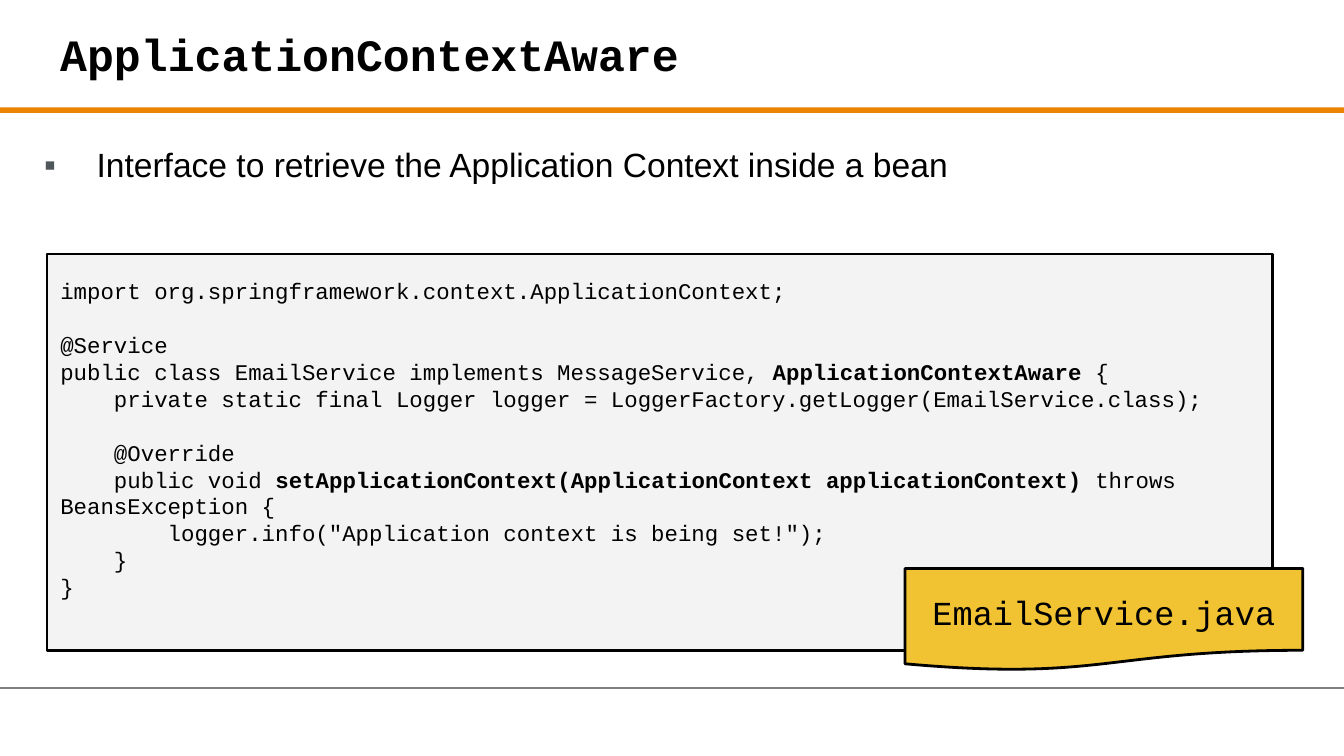
from lxml.etree import SubElement as Sub
from pptx import Presentation
from pptx.dml.color import RGBColor as Rgb
from pptx.enum.shapes import MSO_CONNECTOR as Link, MSO_SHAPE as Form
from pptx.enum.text import MSO_ANCHOR as Anchor, PP_ALIGN as Align
from pptx.oxml.ns import qn
from pptx.util import Inches, Pt

# Grid of square cells, 0.1 inch each
CELL = Inches(0.1)
COLS, ROWS = 100, 56.25
LINE = 14.4  # height of one code line in points

INK = {
    "text": "000000", "rule": "E98300", "foot": "7F7F7F",
    "dot": "4F575A", "code": "F3F3F3", "tag": "F1C232",
}
FONTS = {
    "title": {"name": "Courier New", "size": Pt(24), "bold": True},
    "body": {"name": "Arial", "size": Pt(18)},
    "code": {"name": "Courier New", "size": Pt(12)},
    "tag": {"name": "Courier New", "size": Pt(18)},
}
# Bold parts stand between ** marks
CODE = """import org.springframework.context.ApplicationContext;

@Service
public class EmailService implements MessageService, **ApplicationContextAware** {
    private static final Logger logger = LoggerFactory.getLogger(EmailService.class);

    @Override
    public void **setApplicationContext(ApplicationContext applicationContext)** throws BeansException {
        logger.info("Application context is being set!");
    }
}"""


def cells(*nums):
    return [round(n * CELL) for n in nums]


def style(item, looks):
    for key, val in looks.items():
        setattr(item, key, val)


def write(para, text, kind, bold=None):
    run = para.add_run()
    run.text = text
    style(run.font, FONTS[kind])
    run.font.color.rgb = Rgb.from_string(INK["text"])
    if bold is not None:
        run.font.bold = bold


def frame(shape, anchor=Anchor.MIDDLE, low=1):
    text = shape.text_frame
    style(text, {
        "word_wrap": True, "vertical_anchor": anchor,
        "margin_left": CELL, "margin_right": CELL,
        "margin_top": CELL, "margin_bottom": round(low * CELL),
    })
    return text


def panel(slide, form, box, fill, edge=True):
    shape = slide.shapes.add_shape(form, *cells(*box))
    shape.shadow.inherit = False
    shape.fill.solid()
    shape.fill.fore_color.rgb = Rgb.from_string(INK[fill])
    if edge:
        shape.line.color.rgb = Rgb.from_string(INK["text"])
        shape.line.width = Pt(1.5)
    else:
        shape.line.fill.background()
    return shape


def head(slide, box):
    """Title with the orange rule along its lower edge."""
    x, y, w, h = box
    panel(slide, Form.RECTANGLE, (0, y + h, COLS, 0.4), "rule", False)
    text = frame(slide.shapes.add_textbox(*cells(x, y, w, h)))
    write(text.paragraphs[0], "ApplicationContextAware", "title")


def foot(slide, row):
    """Thin line across the slide."""
    ends = cells(0, row, COLS, row)
    line = slide.shapes.add_connector(Link.STRAIGHT, *ends)
    line.line.color.rgb = Rgb.from_string(INK["foot"])
    line.line.width = Pt(0.75)
    Sub(line._element.spPr, qn("a:effectLst"))


def body(slide, box):
    """Bulleted statement."""
    text = frame(slide.shapes.add_textbox(*cells(*box)), Anchor.TOP)
    para = text.paragraphs[0]
    para.line_spacing = 1.15
    props = para._p.get_or_add_pPr()
    props.set("marL", str(Inches(0.5)))
    props.set("indent", str(-Inches(0.39)))
    Sub(Sub(props, qn("a:buClr")), qn("a:srgbClr"), val=INK["dot"])
    Sub(props, qn("a:buFont"), typeface="Arial")
    Sub(props, qn("a:buChar"), char="▪")
    write(para, "Interface to retrieve the Application Context inside a bean", "body")


def code(slide, box):
    """Listing panel, with a file tag over its lower right corner."""
    x, y, w, h = box
    text = frame(panel(slide, Form.RECTANGLE, box, "code"), low=3)
    for num, block in enumerate(CODE.split("\n\n")):
        for row, line in enumerate(block.split("\n")):
            first = num == row == 0
            para = text.paragraphs[0] if first else text.add_paragraph()
            para.alignment = Align.LEFT
            if num and not row:
                para.space_before = Pt(LINE)
            for spot, part in enumerate(line.split("**")):
                write(para, part, "code", spot % 2 == 1)

    spot = (x + 0.7 * w, y + h - 6.1, 29.6, 7.6)
    text = frame(panel(slide, Form.FLOWCHART_DOCUMENT, spot, "tag"))
    para = text.paragraphs[0]
    style(para, {"alignment": Align.CENTER, "line_spacing": 1.15})
    write(para, "EmailService.java", "tag")


def main():
    deck = Presentation()
    deck.slide_width, deck.slide_height = cells(COLS, ROWS)
    slide = deck.slides.add_slide(deck.slide_layouts[6])
    head(slide, (3.5, 0, 93.7, 8))
    foot(slide, 51.2)
    body(slide, (1.2, 9.3, 96, 40.7))
    code(slide, (3.5, 18.9, 91.2, 29.5))
    deck.save("out.pptx")


if __name__ == "__main__":
    main()
